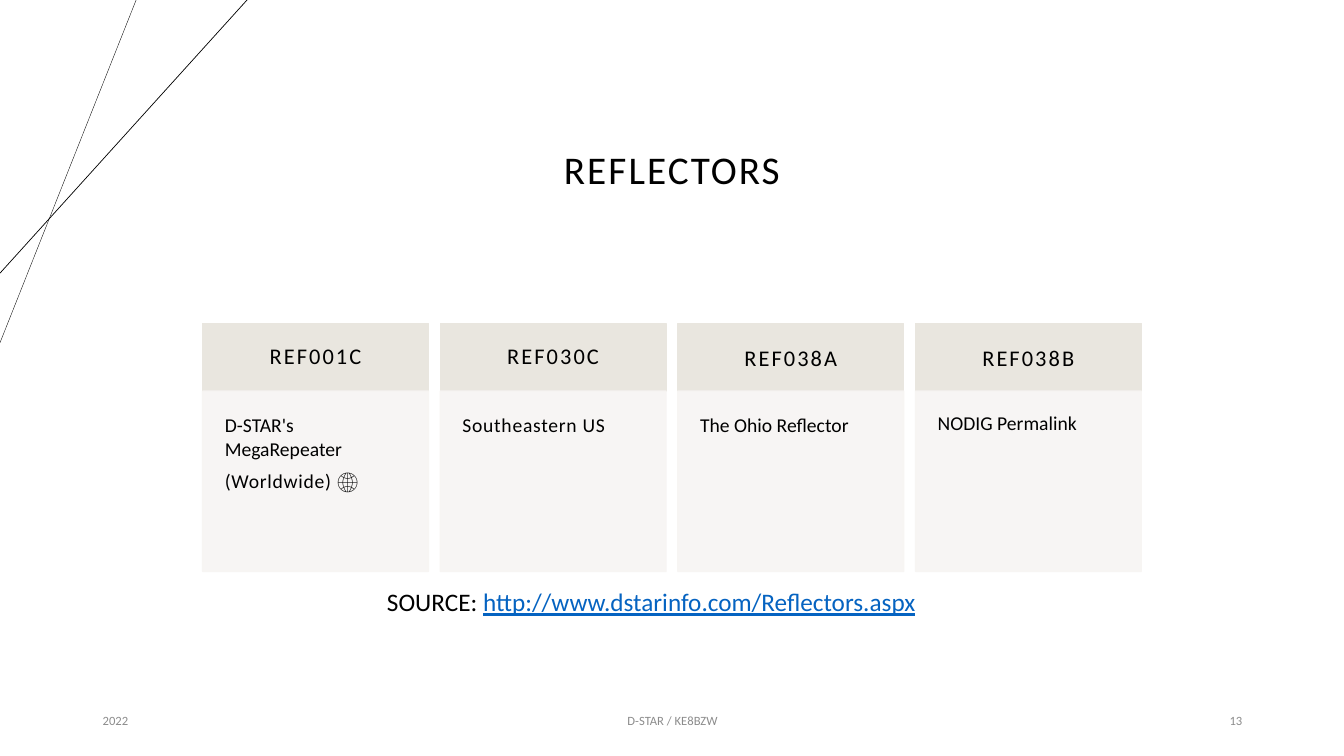
from lxml.etree import SubElement
from pptx import Presentation
from pptx.dml.color import RGBColor
from pptx.enum.shapes import MSO_CONNECTOR, MSO_SHAPE
from pptx.enum.text import MSO_ANCHOR, PP_ALIGN
from pptx.oxml.ns import qn
from pptx.util import Inches, Pt

BLACK, GREY, BLUE = "000000", "8C8C8C", "0563C1"
HEADER_FILL, BODY_FILL = "E9E6DF", "F7F5F3"
CARD_LEFT, CARD_TOP, CARD_WIDTH = 2.01, 3.21, 2.24
CARD_PITCH = (9.08 - CARD_LEFT) / 3
HEADER_HEIGHT, BODY_HEIGHT = 0.67, 1.79
REFLECTORS = [
    ("REF001C", 0.9, [("D-STAR's MegaRepeater", 0), ("(Worldwide) 🌐", 0.5)], 1),
    ("REF030C", 0.9, [("Southeastern US", 0.5)], 1),
    ("REF038A", 1, [("The Ohio Reflector", 0)], 1),
    ("REF038B", 1, [("NODIG Permalink", 0)], 0.9),
]


def color(hex_string):
    """Turn a hex string into a colour."""
    return RGBColor.from_string(hex_string)


def add_run(paragraph, text, size, hex_color=BLACK, spacing=0, underline=False):
    """Add one run of Calibri text, with letter spacing in points."""
    run = paragraph.add_run()
    run.text = text
    font = run.font
    font.name, font.size = "Calibri", Pt(size)
    font.color.rgb = color(hex_color)
    if underline:
        font.underline = True
    if spacing:
        run._r.get_or_add_rPr().set("spc", str(int(spacing * 100)))


def set_frame(shape, anchor, margin=None):
    """Wrap the text of a shape, anchor it and set equal margins."""
    frame = shape.text_frame
    frame.word_wrap = True
    frame.vertical_anchor = anchor
    if margin is not None:
        frame.margin_left = frame.margin_right = Inches(margin)
        frame.margin_top = frame.margin_bottom = Inches(margin)
    return frame


def add_label(slide, box, runs, alignment=PP_ALIGN.LEFT, anchor=MSO_ANCHOR.MIDDLE,
              line_spacing=1):
    """Add a one-paragraph text box."""
    shape = slide.shapes.add_textbox(*map(Inches, box))
    paragraph = set_frame(shape, anchor).paragraphs[0]
    paragraph.alignment = alignment
    paragraph.line_spacing = line_spacing
    for run in runs:
        add_run(paragraph, *run)


def add_panel(slide, box, fill, opacity=100):
    """Add a rectangle whose fill and outline share a colour."""
    shape = slide.shapes.add_shape(MSO_SHAPE.RECTANGLE, *map(Inches, box))
    shape.shadow.inherit = False
    shape.fill.solid()
    shape.fill.fore_color.rgb = color(fill)
    shape.line.color.rgb = color(fill)
    shape.line.width = Pt(1)
    if opacity < 100:
        for element in shape._element.spPr.iter(qn("a:srgbClr")):
            SubElement(element, qn("a:alpha")).set("val", str(opacity * 1000))
    return shape


def fill_paragraph(paragraph, alignment, line_spacing, *run):
    """Format a card paragraph and add its run."""
    paragraph.alignment = alignment
    paragraph.line_spacing = line_spacing
    paragraph.space_after = Pt(6)
    add_run(paragraph, *run)


def add_card(slide, left, name, name_spacing, lines, line_spacing):
    """Add a reflector card: a name above a description."""
    header = add_panel(slide, (left, CARD_TOP, CARD_WIDTH, HEADER_HEIGHT), HEADER_FILL)
    frame = set_frame(header, MSO_ANCHOR.MIDDLE, 0.18)
    fill_paragraph(frame.paragraphs[0], PP_ALIGN.CENTER, name_spacing,
                   name, 16, BLACK, 1.5)
    body_top = CARD_TOP + HEADER_HEIGHT
    body = add_panel(slide, (left, body_top, CARD_WIDTH, BODY_HEIGHT), BODY_FILL, 90)
    frame = set_frame(body, MSO_ANCHOR.TOP, 0.22)
    for index, (text, letter_spacing) in enumerate(lines):
        paragraph = frame.add_paragraph() if index else frame.paragraphs[0]
        fill_paragraph(paragraph, PP_ALIGN.LEFT, line_spacing,
                       text, 14, BLACK, letter_spacing)


def add_corner_line(slide, top_x, left_y, width):
    """Add a line from the top edge to the left edge of the slide."""
    line = slide.shapes.add_connector(
        MSO_CONNECTOR.STRAIGHT, Inches(top_x), Inches(0), Inches(0), Inches(left_y))
    line.line.color.rgb = color(BLACK)
    line.line.width = Pt(width)
    SubElement(line._element.spPr, qn("a:effectLst"))


def main():
    """Build the reflectors slide."""
    presentation = Presentation()
    presentation.slide_width = Inches(13.33)
    presentation.slide_height = Inches(7.5)
    slide = presentation.slides.add_slide(presentation.slide_layouts[6])
    add_corner_line(slide, 1.35, 3.4, 0.25)
    add_corner_line(slide, 2.45, 2.71, 0.5)
    add_label(slide, (2.06, 0.98, 9.21, 1.45), [("REFLECTORS", 28, BLACK, 1.5)],
              PP_ALIGN.CENTER, line_spacing=0.9)
    for left, width, text, alignment in [
        (0.92, 3, "2022", PP_ALIGN.LEFT),
        (4.42, 4.5, "D-STAR / KE8BZW", PP_ALIGN.CENTER),
        (9.42, 3, "13", PP_ALIGN.RIGHT),
    ]:
        add_label(slide, (left, 6.95, width, 0.4), [(text, 9, GREY)], alignment)
    for index, reflector in enumerate(REFLECTORS):
        add_card(slide, CARD_LEFT + index * CARD_PITCH, *reflector)
    add_label(slide, (3.74, 5.77, 5.84, 0.4), [
        ("SOURCE: ", 18),
        ("http://www.dstarinfo.com/Reflectors.aspx", 18, BLUE, 0, True),
    ], anchor=MSO_ANCHOR.TOP)
    presentation.save("out.pptx")


if __name__ == "__main__":
    main()
